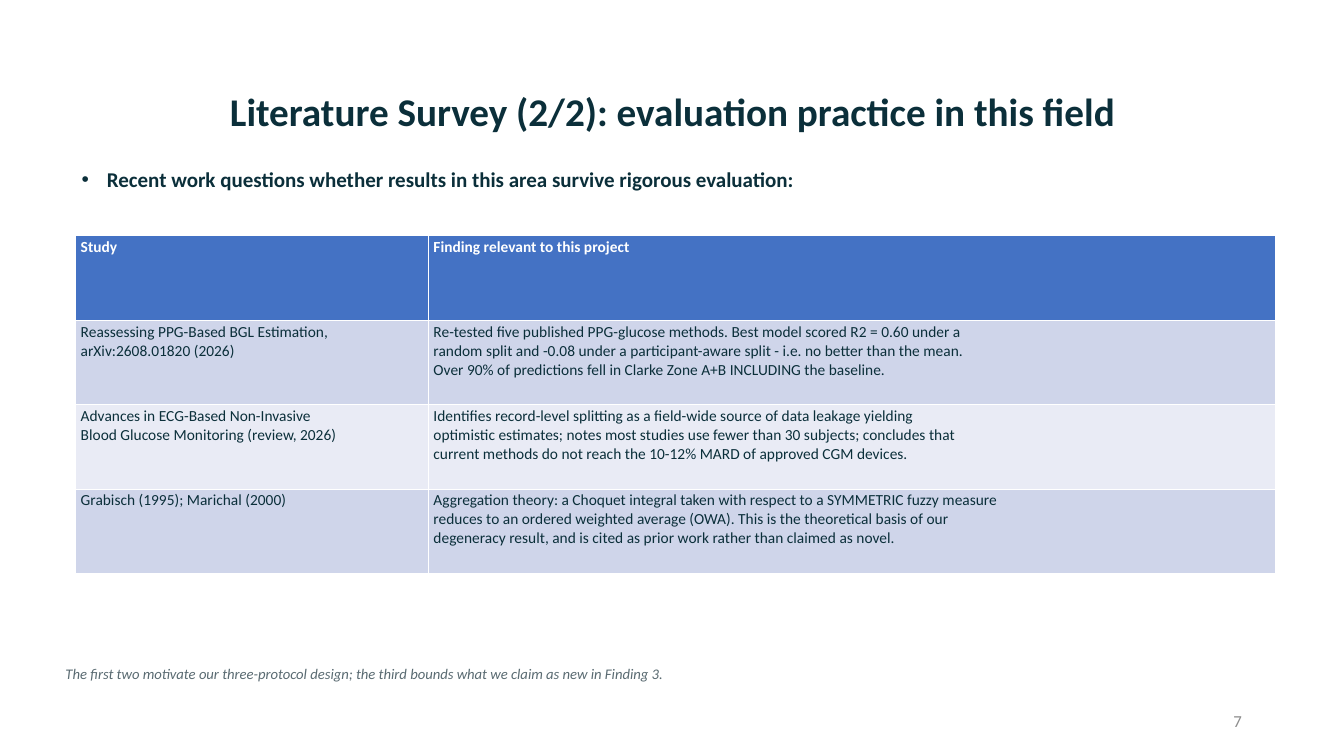
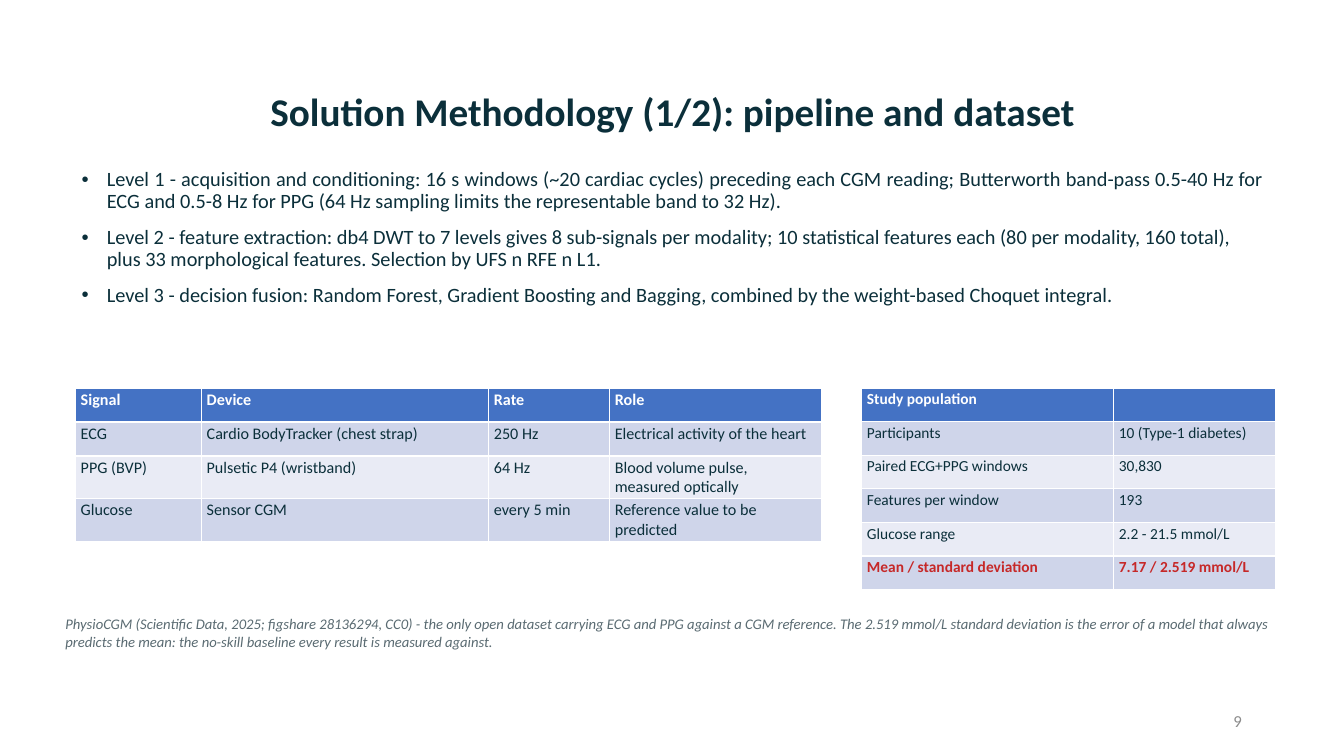
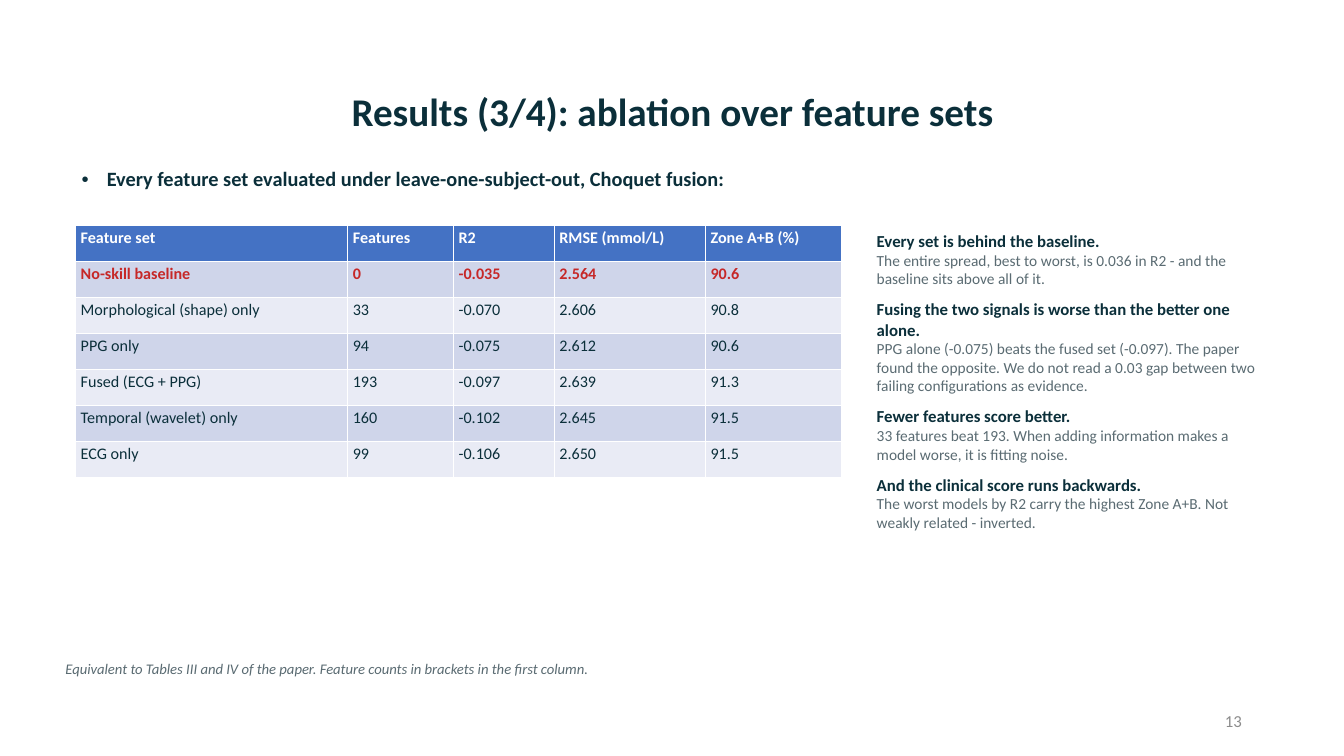
from copy import deepcopy
from dataclasses import dataclass

from pptx import Presentation
from pptx import util as u
from pptx.dml.color import RGBColor
from pptx.enum import text
from pptx.oxml.ns import qn


@dataclass(frozen=True)
class Theme:
    face: str = "Calibri"
    ink: str = "0B2F3A"
    muted: str = "5A6B72"
    folio: str = "8C8C8C"
    alert: str = "C62828"
    white: str = "FFFFFF"
    header: str = "4472C4"
    bands: tuple = ("CFD5EA", "E9EBF5")
    title_size: float = 28
    heading_size: float = 12
    detail_size: float = 11
    note_size: float = 10.5
    folio_size: float = 12


theme = Theme()

deck = Presentation()
deck.slide_width = u.Inches(13.333)
deck.slide_height = u.Inches(7.5)


def area(left, top, width, height):
    across, down = deck.slide_width / 100, deck.slide_height / 100
    return [int(share) for share in (left * across, top * down, width * across, height * down)]


def style(paragraph, size, colour, bold=False, italic=False):
    for run in paragraph.runs:
        run.font.name = theme.face
        run.font.size = u.Pt(size)
        run.font.bold = bold
        run.font.italic = italic
        run.font.color.rgb = RGBColor.from_string(colour)
    for line_break in paragraph._p.findall(qn("a:br")):
        line_break.append(deepcopy(paragraph.runs[0]._r.rPr))
    if not paragraph.runs:
        paragraph._p.get_or_add_endParaRPr().set("sz", str(int(size * 100)))


pages = [
    {
        "title": "Literature Survey (2/2): evaluation practice in this field",
        "number": "7",
        "points": ["Recent work questions whether results in this area survive rigorous evaluation:"],
        "points_height": 7.33, "points_size": 15, "points_bold": True,
        "tables": [
            {
                "area": (5.63, 31.2, 89.25, 44.67), "size": 11, "columns": (3.5, 8.4), "alert_row": None,
                "rows": [
                    ("Study", "Finding relevant to this project"),
                    ("Reassessing PPG-Based BGL Estimation,\varXiv:2608.01820 (2026)",
                     "Re-tested five published PPG-glucose methods. Best model scored R2 = 0.60 under a\v"
                     "random split and -0.08 under a participant-aware split - i.e. no better than the mean.\v"
                     "Over 90% of predictions fell in Clarke Zone A+B INCLUDING the baseline."),
                    ("Advances in ECG-Based Non-Invasive\vBlood Glucose Monitoring (review, 2026)",
                     "Identifies record-level splitting as a field-wide source of data leakage yielding\v"
                     "optimistic estimates; notes most studies use fewer than 30 subjects; concludes that\v"
                     "current methods do not reach the 10-12% MARD of approved CGM devices."),
                    ("Grabisch (1995); Marichal (2000)",
                     "Aggregation theory: a Choquet integral taken with respect to a SYMMETRIC fuzzy measure\v"
                     "reduces to an ordered weighted average (OWA). This is the theoretical basis of our\v"
                     "degeneracy result, and is cited as prior work rather than claimed as novel."),
                ],
            },
        ],
        "remarks": [],
        "note": "The first two motivate our three-protocol design; the third bounds what we claim as new in "
                "Finding 3.",
        "note_top": 87.33,
    },
    {
        "title": "Solution Methodology (1/2): pipeline and dataset",
        "number": "9",
        "points": [
            "Level 1 - acquisition and conditioning: 16 s windows (~20 cardiac cycles) preceding each CGM "
            "reading; Butterworth band-pass 0.5-40 Hz for ECG and 0.5-8 Hz for PPG (64 Hz sampling limits "
            "the representable band to 32 Hz).",
            "Level 2 - feature extraction: db4 DWT to 7 levels gives 8 sub-signals per modality; 10 "
            "statistical features each (80 per modality, 160 total), plus 33 morphological features. "
            "Selection by UFS n RFE n L1.",
            "Level 3 - decision fusion: Random Forest, Gradient Boosting and Bagging, combined by the "
            "weight-based Choquet integral.",
        ],
        "points_height": 30.67, "points_size": 14.5, "points_bold": False,
        "tables": [
            {
                "area": (5.63, 51.33, 55.5, 18), "size": 11.5, "columns": (1.25, 2.85, 1.2, 2.1),
                "alert_row": None,
                "rows": [
                    ("Signal", "Device", "Rate", "Role"),
                    ("ECG", "Cardio BodyTracker (chest strap)", "250 Hz", "Electrical activity of the heart"),
                    ("PPG (BVP)", "Pulsetic P4 (wristband)", "64 Hz", "Blood volume pulse, measured optically"),
                    ("Glucose", "Sensor CGM", "every 5 min", "Reference value to be predicted"),
                ],
            },
            {
                "area": (64.13, 51.33, 30.75, 26.67), "size": 11, "columns": (2.5, 1.6), "alert_row": 5,
                "rows": [
                    ("Study population", ""),
                    ("Participants", "10 (Type-1 diabetes)"),
                    ("Paired ECG+PPG windows", "30,830"),
                    ("Features per window", "193"),
                    ("Glucose range", "2.2 - 21.5 mmol/L"),
                    ("Mean / standard deviation", "7.17 / 2.519 mmol/L"),
                ],
            },
        ],
        "remarks": [],
        "note": "PhysioCGM (Scientific Data, 2025; figshare 28136294, CC0) - the only open dataset carrying "
                "ECG and PPG against a CGM reference. The 2.519 mmol/L standard deviation is the error of a "
                "model that always predicts the mean: the no-skill baseline every result is measured against.",
        "note_top": 80.67,
    },
    {
        "title": "Results (3/4): ablation over feature sets",
        "number": "13",
        "points": ["Every feature set evaluated under leave-one-subject-out, Choquet fusion:"],
        "points_height": 6, "points_size": 14.5, "points_bold": True,
        "tables": [
            {
                "area": (5.63, 29.87, 57, 33.33), "size": 11.5, "columns": (2.7, 1.05, 1, 1.5, 1.35),
                "alert_row": 1,
                "rows": [
                    ("Feature set", "Features", "R2", "RMSE (mmol/L)", "Zone A+B (%)"),
                    ("No-skill baseline", "0", "-0.035", "2.564", "90.6"),
                    ("Morphological (shape) only", "33", "-0.070", "2.606", "90.8"),
                    ("PPG only", "94", "-0.075", "2.612", "90.6"),
                    ("Fused (ECG + PPG)", "193", "-0.097", "2.639", "91.3"),
                    ("Temporal (wavelet) only", "160", "-0.102", "2.645", "91.5"),
                    ("ECG only", "99", "-0.106", "2.650", "91.5"),
                ],
            },
        ],
        "remarks": [
            ("Every set is behind the baseline.",
             "The entire spread, best to worst, is 0.036 in R2 - and the baseline sits above all of it."),
            ("Fusing the two signals is worse than the better one alone.",
             "PPG alone (-0.075) beats the fused set (-0.097). The paper found the opposite. We do not read "
             "a 0.03 gap between two failing configurations as evidence."),
            ("Fewer features score better.",
             "33 features beat 193. When adding information makes a model worse, it is fitting noise."),
            ("And the clinical score runs backwards.",
             "The worst models by R2 carry the highest Zone A+B. Not weakly related - inverted."),
        ],
        "note": "Equivalent to Tables III and IV of the paper. Feature counts in brackets in the first column.",
        "note_top": 86.67,
    },
]

for page in pages:
    slide = deck.slides.add_slide(deck.slide_layouts[1])

    title = slide.shapes.title
    title.left, title.top, title.width, title.height = area(6.9, 5.33, 86.25, 19.33)
    title.text_frame.text = page["title"]
    title.text_frame.auto_size = text.MSO_AUTO_SIZE.NONE
    title.text_frame.vertical_anchor = text.MSO_ANCHOR.MIDDLE
    heading = title.text_frame.paragraphs[0]
    heading.alignment = text.PP_ALIGN.CENTER
    heading.line_spacing = 0.9
    style(heading, theme.title_size, theme.ink, bold=True)

    points = slide.placeholders[1]
    points.left, points.top, points.width, points.height = area(5.32, 21.73, 89.4, page["points_height"])
    points.text_frame.text = "\n".join(page["points"])
    points.text_frame.auto_size = text.MSO_AUTO_SIZE.NONE
    for order, point in enumerate(points.text_frame.paragraphs):
        indent = u.Inches(0.25)
        properties = point._p.get_or_add_pPr()
        properties.set("marL", str(indent))
        properties.set("indent", str(-indent))
        point.alignment = text.PP_ALIGN.LEFT if order else text.PP_ALIGN.JUSTIFY
        point.line_spacing = 0.9
        point.space_before = u.Pt(10 if order else 0)
        style(point, page["points_size"], theme.ink, bold=page["points_bold"])

    folio = slide.shapes.add_textbox(*area(70.65, 92.67, 22.5, 5.33)).text_frame
    folio.word_wrap = True
    folio.vertical_anchor = text.MSO_ANCHOR.MIDDLE
    folio.text = page["number"]
    folio.paragraphs[0].alignment = text.PP_ALIGN.RIGHT
    style(folio.paragraphs[0], theme.folio_size, theme.folio)

    for content in page["tables"]:
        rows, shares = content["rows"], content["columns"]
        place = area(*content["area"])
        grid = slide.shapes.add_table(len(rows), len(shares), *place).table
        for column, share in zip(grid.columns, shares):
            column.width = int(place[2] * share / sum(shares))
        for r, row in enumerate(rows):
            fill = theme.bands[(r - 1) % 2] if r else theme.header
            alert = r == content["alert_row"]
            colour = theme.alert if alert else theme.ink if r else theme.white
            for c, words in enumerate(row):
                cell = grid.cell(r, c)
                cell.fill.solid()
                cell.fill.fore_color.rgb = RGBColor.from_string(fill)
                cell.margin_left = cell.margin_right = u.Inches(0.05)
                cell.margin_top = cell.margin_bottom = u.Inches(0.02)
                cell.text_frame.text = words
                style(cell.text_frame.paragraphs[0], content["size"], colour, bold=alert or r == 0)

    if page["remarks"]:
        remarks = slide.shapes.add_textbox(*area(64.5, 29.87, 30.75, 57.33)).text_frame
        remarks.word_wrap = True
        remarks.auto_size = text.MSO_AUTO_SIZE.SHAPE_TO_FIT_TEXT
        remarks.text = "\n".join(line for remark in page["remarks"] for line in remark)
        for claim in remarks.paragraphs[::2]:
            style(claim, theme.heading_size, theme.ink, bold=True)
        for detail in remarks.paragraphs[1::2]:
            detail.space_after = u.Pt(8)
            style(detail, theme.detail_size, theme.muted)

    note = slide.shapes.add_textbox(*area(4.13, page["note_top"], 91.5, 5.33)).text_frame
    note.word_wrap = True
    note.auto_size = text.MSO_AUTO_SIZE.SHAPE_TO_FIT_TEXT
    note.text = page["note"]
    style(note.paragraphs[0], theme.note_size, theme.muted, italic=True)

deck.save("out.pptx")
